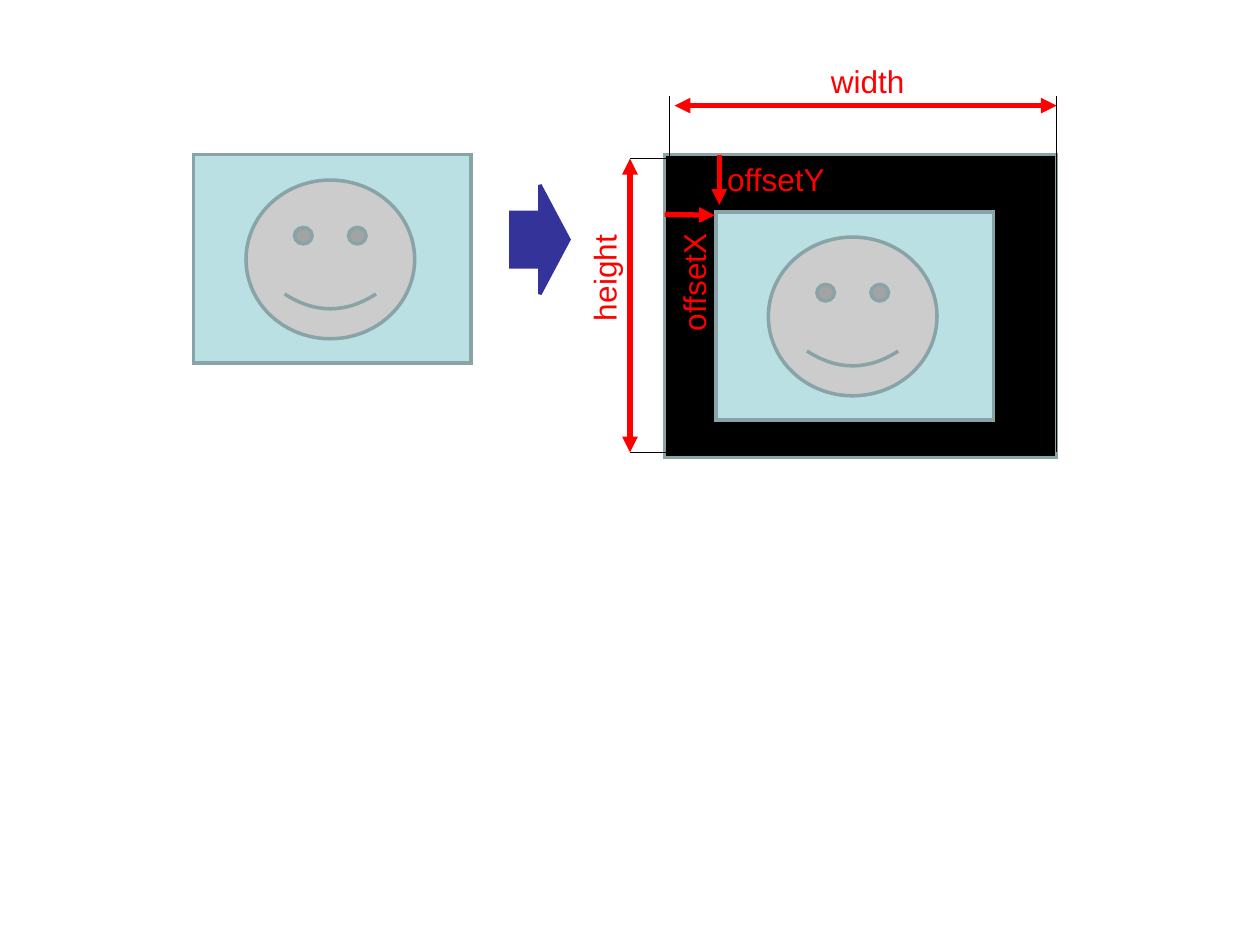
from lxml.etree import SubElement
from pptx import Presentation
from pptx.dml.color import RGBColor
from pptx.enum.shapes import MSO_CONNECTOR as Connector, MSO_SHAPE as Preset
from pptx.enum.text import MSO_AUTO_SIZE as AutoSize
from pptx.oxml.ns import qn
from pptx.util import Cm, Pt

RED, BLACK, BLUE = "FF0000", "000000", "333399"
PALE, GREY, EDGE = "BBE0E3", "CCCCCC", "89A4A7"

TOP, BOTTOM = 3.2, 9.12
LEFT, RIGHT = 13.49, 21.3
FRAME_X, FRAME_Y = 13.4, 3.12
RULE_X, RULE_Y = 12.7, 1.93


def color(value):
    return RGBColor.from_string(value)


def add_filled(shapes, preset, box, fill, edge=EDGE, adjustments=()):
    """Add a filled preset shape with a sharp-cornered outline."""
    shape = shapes.add_shape(preset, *map(Cm, box))
    shape.shadow.inherit = False
    shape.fill.solid()
    shape.fill.fore_color.rgb = color(fill)
    shape.line.color.rgb = color(edge)
    shape.line.width = Pt(2)
    SubElement(shape.line._get_or_add_ln(), qn("a:miter"), lim="800000")
    for index, value in enumerate(adjustments):
        shape.adjustments[index] = value


def add_face_image(shapes, left, top):
    """Add a pale frame with a smiley inside it."""
    add_filled(shapes, Preset.RECTANGLE, (left, top, 5.6, 4.2), PALE)
    add_filled(shapes, Preset.SMILEY_FACE, (left + 1.06, top + 0.51, 3.4, 3.2),
               GREY, adjustments=[0.093])


def add_line(shapes, points, line_color=BLACK, width=0.75, ends=()):
    """Add a line; ends holds headEnd and/or tailEnd, in that order."""
    line = shapes.add_connector(Connector.STRAIGHT, *map(Cm, points))
    line.line.color.rgb = color(line_color)
    line.line.width = Pt(width)
    for end in ends:
        SubElement(line.line._get_or_add_ln(), qn(f"a:{end}"), type="triangle")
    SubElement(line._element.spPr, qn("a:effectLst"))


def add_label(shapes, text, box, rotation=0):
    label = shapes.add_textbox(*map(Cm, box))
    label.rotation = rotation
    frame = label.text_frame
    frame.word_wrap = False
    frame.auto_size = AutoSize.SHAPE_TO_FIT_TEXT
    run = frame.paragraphs[0].add_run()
    run.text = text
    for name, value in {"name": "Arial", "size": Pt(18)}.items():
        setattr(run.font, name, value)
    run.font.color.rgb = color(RED)


def main():
    presentation = Presentation()
    presentation.slide_width, presentation.slide_height = Cm(25.4), Cm(19.05)
    shapes = presentation.slides.add_slide(presentation.slide_layouts[6]).shapes

    add_face_image(shapes, 3.9, FRAME_Y)
    add_filled(shapes, Preset.RECTANGLE, (FRAME_X, FRAME_Y, 7.9, 6.1), BLACK)
    add_face_image(shapes.add_group_shape().shapes, 14.43, 4.27)

    extension_lines = [
        (RULE_X, TOP, 19.91, TOP),
        (RULE_X, BOTTOM, 18.11, BOTTOM),
        (RIGHT, RULE_Y, RIGHT, BOTTOM),
        (LEFT, RULE_Y, LEFT, BOTTOM),
    ]
    for points in extension_lines:
        add_line(shapes, points)

    measure_arrows = [
        ((RULE_X, TOP, RULE_X, BOTTOM), ("headEnd", "tailEnd")),
        ((RIGHT, 2.13, 13.6, 2.13), ("headEnd", "tailEnd")),
        ((14.41, 4.34, FRAME_X, 4.32), ("headEnd",)),
        ((14.5, FRAME_Y, 14.5, 4.13), ("tailEnd",)),
    ]
    for points, ends in measure_arrows:
        add_line(shapes, points, RED, 3, ends)

    labels = [
        ("width", (16.5, 1.12, 2.05, 1.02), 0),
        ("height", (11.05, 5.08, 2.26, 1.02), 270),
        ("offsetX", (12.73, 5.16, 2.51, 1.02), 270),
        ("offsetY", (14.41, 3.1, 2.51, 1.02), 0),
    ]
    for label in labels:
        add_label(shapes, *label)

    add_filled(shapes, Preset.RIGHT_ARROW, (10.3, 3.73, 1.17, 2.2), BLUE, BLUE,
               [0.5, 0.5])
    presentation.save("out.pptx")


if __name__ == "__main__":
    main()
